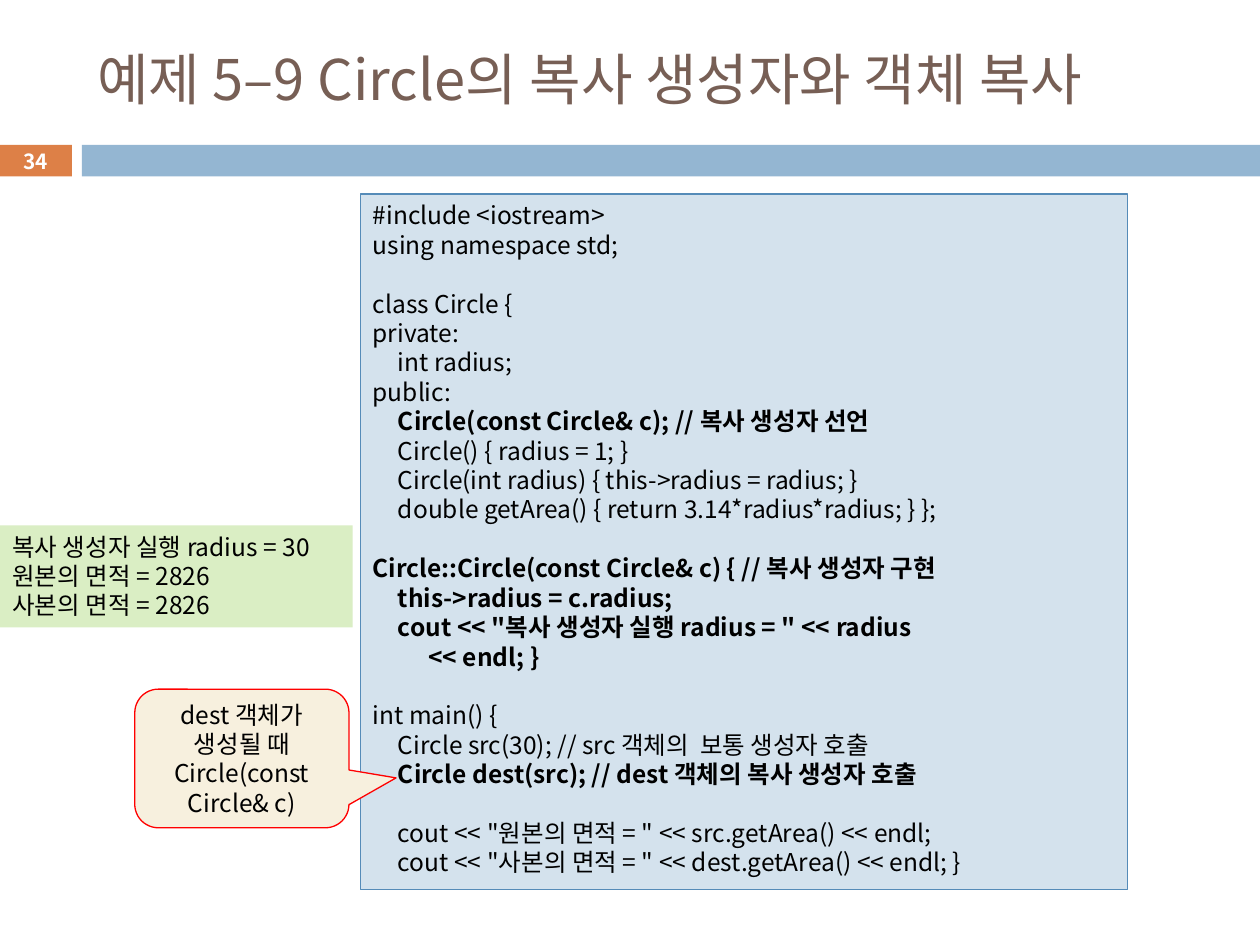
from pptx import Presentation
from pptx import util as u
from pptx.dml.color import RGBColor
from pptx.enum import shapes, text
from pptx.oxml.ns import qn
from lxml import etree

FONT = "Noto Sans CJK KR"
BLACK = RGBColor(0x00, 0x00, 0x00)
WHITE = RGBColor(0xFF, 0xFF, 0xFF)
BROWN = RGBColor(0x77, 0x5F, 0x55)
ORANGE = RGBColor(0xDD, 0x80, 0x47)
BAR_BLUE = RGBColor(0x94, 0xB6, 0xD2)
CODE_FILL = RGBColor(0xD4, 0xE2, 0xED)
CODE_LINE = RGBColor(0x55, 0x8B, 0xB8)
OUTPUT_FILL = RGBColor(0xDA, 0xEE, 0xC4)
CALLOUT_FILL = RGBColor(0xF7, 0xF0, 0xDE)
RED = RGBColor(0xFF, 0x00, 0x00)

CODE = """#include <iostream>
using namespace std;

class Circle {
private:
\tint radius;
public:
\tCircle(const Circle& c); // 복사 생성자 선언
\tCircle() { radius = 1; }
\tCircle(int radius) { this->radius = radius; }
\tdouble getArea() { return 3.14*radius*radius; } };

Circle::Circle(const Circle& c) { // 복사 생성자 구현
\tthis->radius = c.radius;
\tcout << "복사 생성자 실행 radius = " << radius
          << endl; }

int main() {
\tCircle src(30); // src 객체의  보통 생성자 호출
\tCircle dest(src); // dest 객체의 복사 생성자 호출

\tcout << "원본의 면적 = " << src.getArea() << endl;
\tcout << "사본의 면적 = " << dest.getArea() << endl; }"""
BOLD_LINES = {7, 12, 13, 14, 15, 19}
OUTPUT = """복사 생성자 실행 radius = 30
원본의 면적 = 2826
사본의 면적 = 2826"""


def style_runs(paragraph, size, color, bold=False):
    """Give every run of a paragraph its Latin and East Asian font."""
    for run in paragraph.runs:
        run.font.size, run.font.bold = u.Pt(size), bold
        run.font.name = FONT
        run.font.color.rgb = color
        east_asian = etree.SubElement(run._r.get_or_add_rPr(), qn("a:ea"))
        east_asian.set("typeface", FONT)


def add_panel(slide, box, fill, line=None, kind=shapes.MSO_SHAPE.RECTANGLE):
    """Add a flat filled shape in the given box."""
    panel = slide.shapes.add_shape(kind, *map(u.Inches, box))
    panel.shadow.inherit = False
    panel.fill.solid()
    panel.fill.fore_color.rgb = fill
    if line is None:
        panel.line.fill.background()
    else:
        panel.line.color.rgb = line
        panel.line.width = u.Pt(0.75)
    return panel


def write_lines(panel, content, align, anchor, size=14, color=BLACK, bold_lines=()):
    """Write one paragraph per line of content, with a code tab stop."""
    frame = panel.text_frame
    frame.word_wrap = True
    frame.vertical_anchor = anchor
    frame.text = content
    for index, paragraph in enumerate(frame.paragraphs):
        paragraph.alignment = align
        paragraph.line_spacing = u.Pt(size * 1.2)
        if paragraph.text.startswith("\t"):
            tabs = etree.SubElement(paragraph._p.get_or_add_pPr(), qn("a:tabLst"))
            etree.SubElement(tabs, qn("a:tab"), pos=str(u.Inches(0.2)), algn="l")
        style_runs(paragraph, size, color, index in bold_lines)


def add_header(slide, box):
    """Place the title above the page number and the blue bar."""
    left, top, width, height = box
    title = slide.shapes.title
    title.left, title.top = u.Inches(left + 0.68), u.Inches(top)
    title.width, title.height = u.Inches(8.92), u.Inches(0.74)
    title.text_frame.text = "예제 5–9 Circle의 복사 생성자와 객체 복사"
    title.text_frame.vertical_anchor = text.MSO_ANCHOR.MIDDLE
    heading = title.text_frame.paragraphs[0]
    heading.alignment = text.PP_ALIGN.LEFT
    style_runs(heading, 32, BROWN)

    bar_top, bar_height = top + 0.9, height - 0.9
    page = add_panel(slide, (left, bar_top, 0.58, bar_height), ORANGE)
    page.text_frame.margin_top = page.text_frame.margin_bottom = 0
    write_lines(page, "34", text.PP_ALIGN.CENTER, text.MSO_ANCHOR.MIDDLE,
                11.9, WHITE, {0})
    add_panel(slide, (left + 0.66, bar_top, width - 0.66, bar_height), BAR_BLUE)


def add_code(slide, box):
    """Place the source listing."""
    listing = add_panel(slide, box, CODE_FILL, CODE_LINE)
    write_lines(listing, CODE, text.PP_ALIGN.LEFT, text.MSO_ANCHOR.TOP,
                bold_lines=BOLD_LINES)


def add_output(slide, box):
    """Place the program output."""
    output = add_panel(slide, box, OUTPUT_FILL)
    write_lines(output, OUTPUT, text.PP_ALIGN.LEFT, text.MSO_ANCHOR.TOP)


def add_callout(slide, box):
    """Place the remark that points at the copy in the listing."""
    remark = add_panel(slide, box, CALLOUT_FILL, RED,
                       shapes.MSO_SHAPE.ROUNDED_RECTANGULAR_CALLOUT)
    for index, value in enumerate((0.72, 0.14, 0.17)):
        remark.adjustments[index] = value
    write_lines(remark, "dest 객체가 생성될 때 Circle(const Circle& c)",
                text.PP_ALIGN.CENTER, text.MSO_ANCHOR.MIDDLE)


def main():
    """Build and save the slide."""
    deck = Presentation()
    deck.slide_width, deck.slide_height = u.Inches(10), u.Inches(7.5)
    slide = deck.slides.add_slide(deck.slide_layouts[5])
    add_header(slide, (-0.01, 0.25, 10.01, 1.15))
    add_code(slide, (2.86, 1.54, 6.09, 5.52))
    add_output(slide, (0, 4.17, 2.8, 0.81))
    add_callout(slide, (1.07, 5.47, 1.7, 1.1))
    deck.save("out.pptx")


if __name__ == "__main__":
    main()
